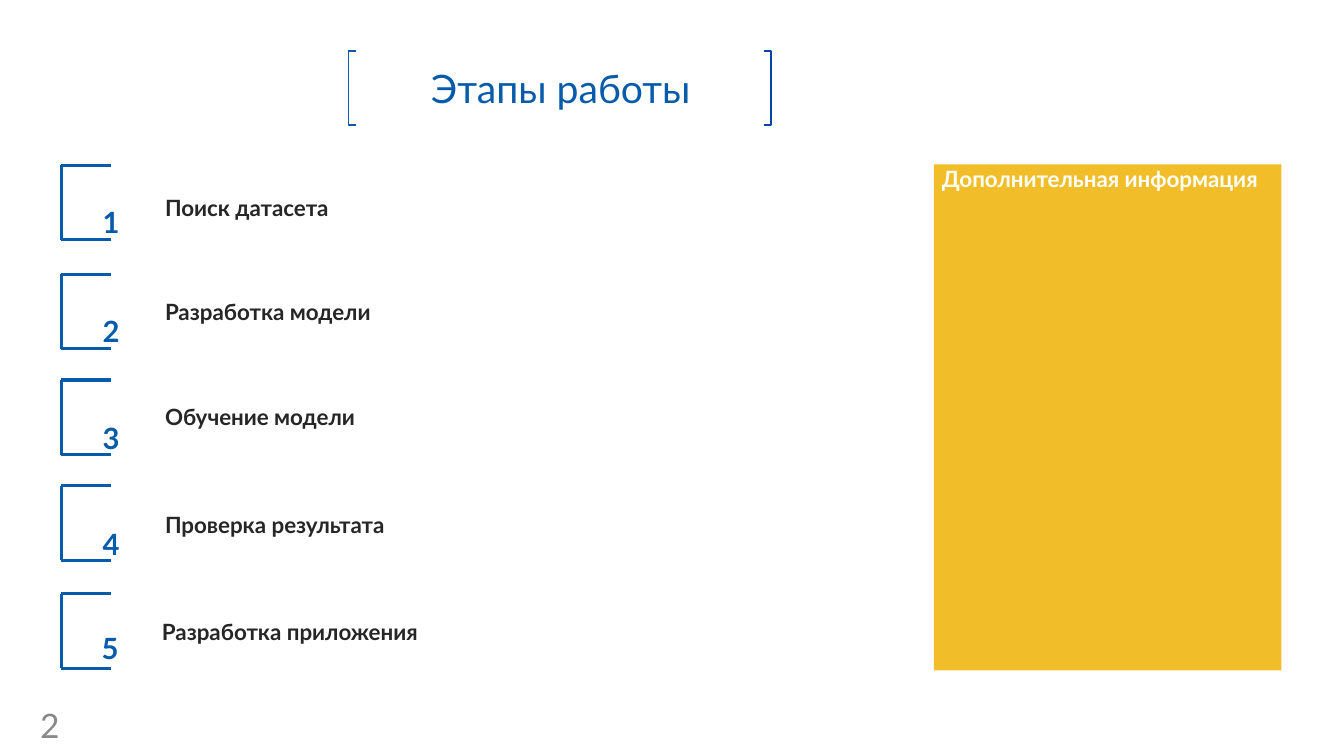
from dataclasses import dataclass
from pptx import Presentation
from pptx.dml.color import RGBColor as Rgb
from pptx.enum.shapes import MSO_CONNECTOR as Link, MSO_SHAPE as Kind
from pptx.enum.text import MSO_ANCHOR as Anchor, PP_ALIGN as Align
from pptx.oxml.ns import qn
from pptx.oxml.xmlchemy import OxmlElement as Node
from pptx.util import Inches, Pt


@dataclass(frozen=True)
class Theme:
    """Hold the colours, font and type sizes of the slide."""
    blue: Rgb = Rgb.from_string("065CAB")
    deep: Rgb = Rgb.from_string("0046A2")
    gold: Rgb = Rgb.from_string("F1BE29")
    dark: Rgb = Rgb.from_string("262626")
    gray: Rgb = Rgb.from_string("898989")
    white: Rgb = Rgb.from_string("FFFFFF")
    face: str = "Lato"
    title: int = 28
    page: int = 24
    digit: int = 36
    label: int = 16


THEME = Theme()
STEPS = [
    ("Поиск датасета", 1.64, 1.54, 1.88, 0.92, 1.92),
    ("Разработка модели", 2.72, 1.54, 2.91, 0.92, 3.0),
    ("Обучение модели", 3.77, 1.54, 3.95, 0.92, 4.06),
    ("Проверка результата", 4.82, 1.54, 5.02, 0.92, 5.11),
    ("Разработка приложения", 5.89, 1.51, 6.08, 0.91, 6.14),
]


def write(shape, text, size, color, bold=False, align=Align.LEFT, anchor=Anchor.TOP):
    """Put one styled paragraph into a shape and return it."""
    frame = shape.text_frame
    frame.word_wrap = True
    frame.vertical_anchor = anchor
    para = frame.paragraphs[0]
    para.text = text
    para.alignment = align
    font = para.font
    font.name, font.size, font.bold = THEME.face, Pt(size), bold
    font.color.rgb = color
    return para


def add_text(slide, box, *style, **more):
    """Add a text box with one styled paragraph."""
    shape = slide.shapes.add_textbox(*map(Inches, box))
    write(shape, *style, **more)
    return shape


def add_panel(slide, box, fill):
    """Add a plain filled rectangle."""
    shape = slide.shapes.add_shape(Kind.RECTANGLE, *map(Inches, box))
    shape.shadow.inherit = False
    shape.fill.solid()
    shape.fill.fore_color.rgb = fill
    shape.line.fill.background()
    return shape


def add_line(slide, *ends):
    """Add a straight blue line between two points."""
    line = slide.shapes.add_connector(Link.STRAIGHT, *map(Inches, ends))
    line.line.color.rgb = THEME.blue
    line.line.width = Pt(2.25)
    line.element.spPr.append(Node("a:effectLst"))


def add_brace(slide, tip, side, color):
    """Add one square bracket of the title."""
    top, low = 0.51, 1.24
    points = [(tip, top), (side, top), (side, low), (tip, low)]
    dots = [(Inches(x), Inches(y)) for x, y in points]
    pen = slide.shapes.build_freeform(*dots[0], scale=1.0)
    pen.add_line_segments(dots[1:], close=False)
    shape = pen.convert_to_shape()
    shape.shadow.inherit = False
    shape.fill.background()
    shape.line.color.rgb = color
    shape.line.width = Pt(1.3)


def add_title(slide):
    """Add the title between its two brackets."""
    panel = add_panel(slide, (3.47, 0.51, 4.19, 0.73), THEME.white)
    write(panel, "Этапы работы", THEME.title, THEME.blue,
          align=Align.CENTER, anchor=Anchor.MIDDLE)
    add_brace(slide, 3.53, 3.46, THEME.blue)
    add_brace(slide, 7.58, 7.65, THEME.deep)


def add_step(slide, digit, label, top, left, text_top, num_left, num_top):
    """Add a bracket with its raised number and the step label."""
    low = top + 0.74
    add_line(slide, 0.61, top, 0.61, low)
    for y in (top, low):
        add_line(slide, 0.61, y, 1.1, y)
    add_text(slide, (left, text_top, 6.8, 0.37), label,
             THEME.label, THEME.dark, bold=True)
    num = add_text(slide, (num_left, num_top, 1.18, 0.7), str(digit),
                   THEME.digit, THEME.blue, bold=True)
    for run in num.element.iter(qn("a:r")):
        run.get_or_add_rPr().set("baseline", "30000")


def add_info(slide):
    """Add the gold panel for extra information."""
    panel = add_panel(slide, (9.27, 1.63, 3.45, 5.02), THEME.gold)
    para = write(panel, "Дополнительная информация", THEME.label, THEME.white,
                 bold=True, align=Align.JUSTIFY)
    para.line_spacing = 0.9
    frame = panel.text_frame
    frame.margin_left = frame.margin_right = Inches(0.08)
    frame.margin_top = frame.margin_bottom = Inches(0.04)


def main():
    """Build the slide and save it."""
    deck = Presentation()
    deck.slide_width, deck.slide_height = Inches(13.34), Inches(7.5)
    slide = deck.slides.add_slide(deck.slide_layouts[6])
    add_title(slide)
    add_info(slide)
    for digit, step in enumerate(STEPS, 1):
        add_step(slide, digit, *step)
    add_text(slide, (0.3, 7.04, 0.62, 0.3), "2", THEME.page, THEME.gray,
             anchor=Anchor.MIDDLE)
    deck.save("out.pptx")


if __name__ == "__main__":
    main()
